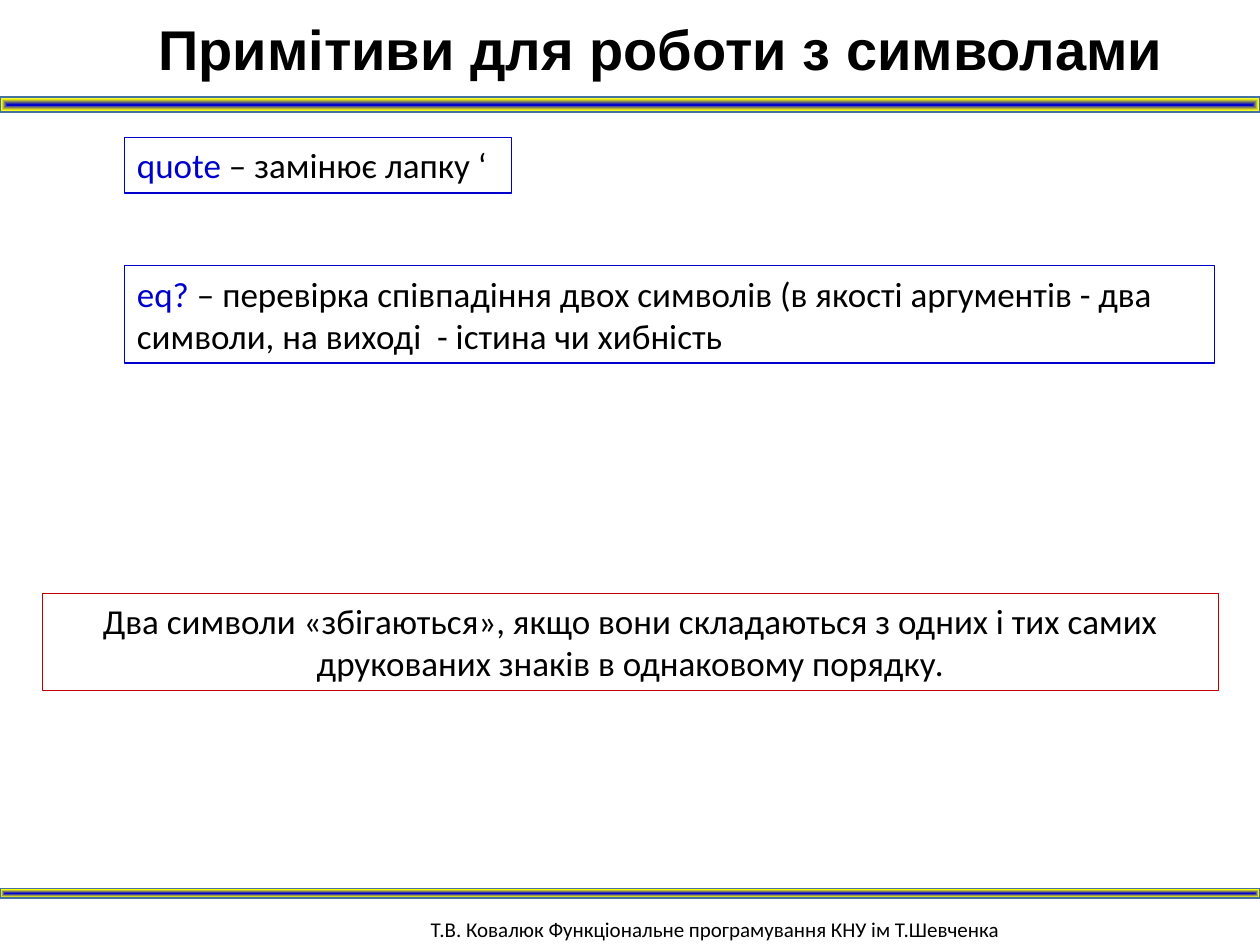
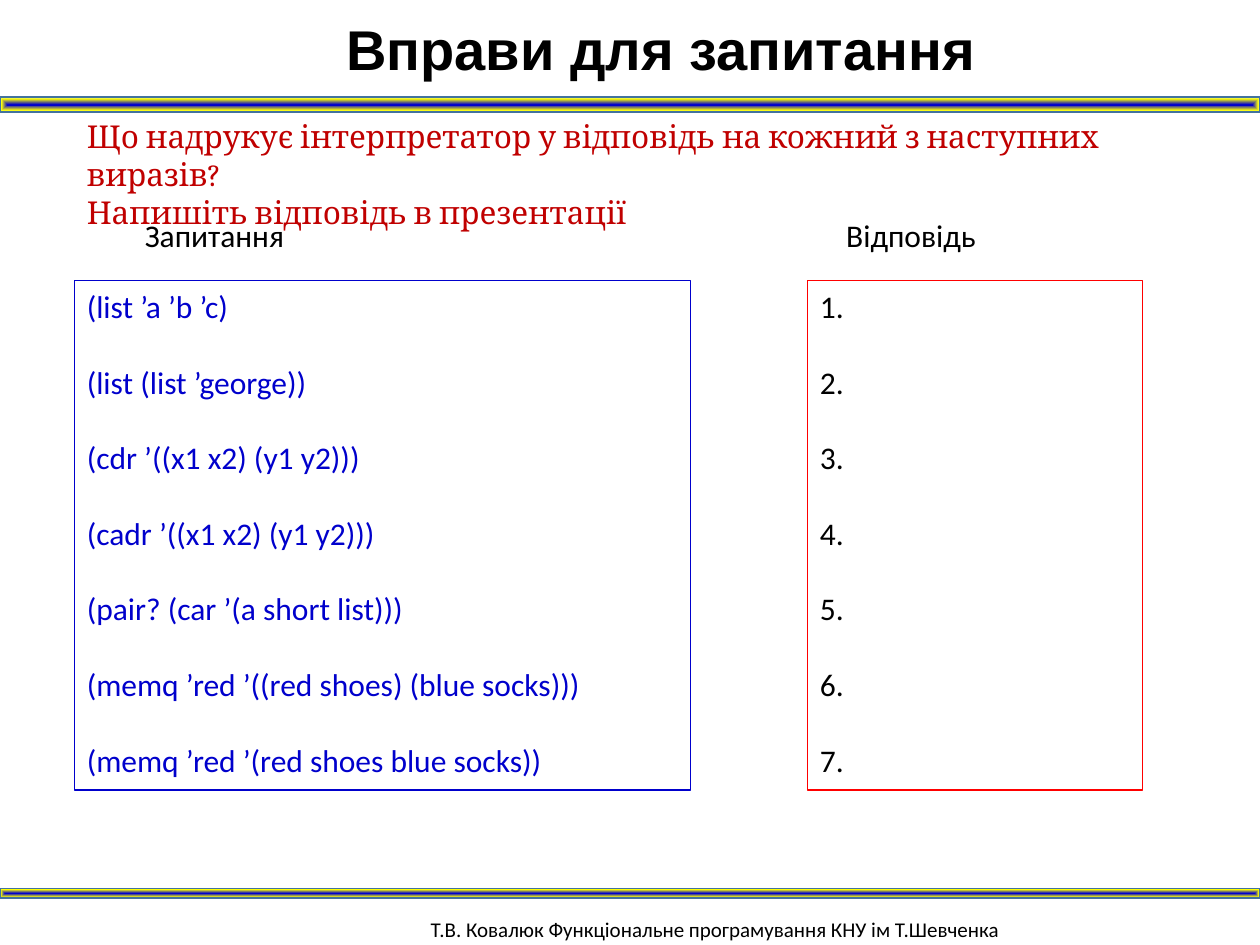
from lxml import etree
from pptx import Presentation
from pptx.dml.color import RGBColor
from pptx.enum.shapes import MSO_SHAPE
from pptx.enum.text import MSO_ANCHOR, PP_ALIGN
from pptx.oxml import parse_xml
from pptx.oxml.ns import nsdecls, qn
from pptx.util import Cm, Pt

RECTANGLE = MSO_SHAPE.RECTANGLE
TOP = MSO_ANCHOR.TOP
LEFT, CENTER = PP_ALIGN.LEFT, PP_ALIGN.CENTER

BLACK, BLUE, DARK_RED, RED = "000000", "0000CC", "C00000", "FF0000"
BAND_LINE = "43739E"
BAND_STOPS = [(0, BLUE), (77, "FFFF00"), (100, "CEE1F2")]
SLIDE_WIDTH, SLIDE_HEIGHT = 25.4, 19.05
BANDS = [(1.96, 0.3), (17.91, 0.2)]  # top, height
FOOTER = "Т.В. Ковалюк Функціональне програмування КНУ ім Т.Шевченка"

SYMBOLS_TITLE = "Примітиви для роботи з символами"
QUOTE = [("quote ", BLUE), ("– замінює лапку ‘", BLACK)]
EQ = [
    ("eq? ", BLUE),
    ("– перевірка співпадіння двох символів (в якості аргументів - два "
     "символи, на виході  - істина чи хибність", BLACK),
]
MATCH_RULE = ("Два символи «збігаються», якщо вони складаються з одних і тих самих "
              "друкованих знаків в однаковому порядку.")

EXERCISES_TITLE = "Вправи для запитання"
TASK = [
    "Що надрукує інтерпретатор у відповідь на кожний з наступних виразів?",
    "Напишіть відповідь в презентації",
]
QUESTIONS = [
    "(list ’a ’b ’c)",
    "(list (list ’george))",
    "(cdr ’((x1 x2) (y1 y2)))",
    "(cadr ’((x1 x2) (y1 y2)))",
    "(pair? (car ’(a short list)))",
    "(memq ’red ’((red shoes) (blue socks)))",
    "(memq ’red ’(red shoes blue socks))",
]
ANSWERS = [f"{number}." for number in range(1, len(QUESTIONS) + 1)]
LIST_TOP, LIST_HEIGHT, LIST_GAP = 5.66, 10.27, 21.6
HEADING_TOP, HEADING_HEIGHT = 4.24, 1.02


def rgb(color):
    return RGBColor.from_string(color)


def add_text(slide, paragraphs, left, top, width, height, size=18, font="Calibri",
             color=BLACK, bold=False, align=LEFT, gap=0, border=None, wrap=True):
    """Add text, framed if border is given; a paragraph is a string or (text, colour) runs."""
    box = [Cm(length) for length in (left, top, width, height)]
    if border:
        shape = slide.shapes.add_shape(RECTANGLE, *box)
        shape.shadow.inherit = False
        shape.fill.background()
        shape.line.color.rgb = rgb(border)
        shape.line.width = Pt(0.75)
    else:
        shape = slide.shapes.add_textbox(*box)
    frame = shape.text_frame
    frame.word_wrap = wrap
    frame.vertical_anchor = TOP
    for index, content in enumerate(paragraphs):
        paragraph = frame.add_paragraph() if index else frame.paragraphs[0]
        paragraph.alignment = align
        if index and gap:
            paragraph.space_before = Pt(gap)
        runs = [(content, color)] if isinstance(content, str) else content
        for text, run_color in runs:
            run = paragraph.add_run()
            run.text = text
            run.font.name = font
            run.font.size = Pt(size)
            run.font.bold = bold
            run.font.color.rgb = rgb(run_color)
    return shape


def add_band(slide, top, height):
    band = slide.shapes.add_shape(RECTANGLE, 0, Cm(top), Cm(SLIDE_WIDTH), Cm(height))
    band.shadow.inherit = False
    band.line.color.rgb = rgb(BAND_LINE)
    band.line.width = Pt(1)
    band.fill.background()
    gradient = parse_xml(f'<a:gradFill {nsdecls("a")} rotWithShape="1"/>')
    stops = etree.SubElement(gradient, qn("a:gsLst"))
    for percent, color in BAND_STOPS:
        stop = etree.SubElement(stops, qn("a:gs"), pos=str(percent * 1000))
        etree.SubElement(stop, qn("a:srgbClr"), val=color)
    shade = etree.SubElement(gradient, qn("a:path"), path="shape")
    etree.SubElement(shade, qn("a:fillToRect"), l="50000", t="50000", r="50000", b="50000")
    properties = band._element.spPr
    properties.replace(properties.find(qn("a:noFill")), gradient)


def add_slide(presentation, title):
    """Add a blank slide with the shared footer, bands and title."""
    slide = presentation.slides.add_slide(presentation.slide_layouts[6])
    add_text(slide, [FOOTER], 8.43, 18.36, 15.24, 0.81, size=12)
    for top, height in BANDS:
        add_band(slide, top, height)
    heading = add_text(slide, [title], 0, 0, SLIDE_WIDTH, 1.63, size=32,
                       font="Arial", bold=True, align=CENTER)
    heading.text_frame.margin_left = Cm(1.5)
    heading.text_frame.margin_top = Cm(0.3)
    return slide


def build_symbols_slide(presentation):
    slide = add_slide(presentation, SYMBOLS_TITLE)
    add_text(slide, [QUOTE], 2.51, 2.77, 7.8, 1.12, size=20, border=BLUE, wrap=False)
    add_text(slide, [EQ], 2.51, 5.36, 21.97, 1.96, size=20, border=BLUE)
    add_text(slide, [MATCH_RULE], 0.86, 11.96, 23.7, 1.96, size=20,
             align=CENTER, border=DARK_RED)


def build_exercises_slide(presentation):
    slide = add_slide(presentation, EXERCISES_TITLE)
    add_text(slide, QUESTIONS, 1.5, LIST_TOP, 12.42, LIST_HEIGHT,
             color=BLUE, gap=LIST_GAP, border=BLUE)
    add_text(slide, TASK, 1.5, 2.24, 23.06, 1.8, font="Cambria", color=DARK_RED)
    for heading, left, width in [("Запитання", 2.67, 3.35), ("Відповідь", 16.81, 3.3)]:
        add_text(slide, [heading], left, HEADING_TOP, width, HEADING_HEIGHT, wrap=False)
    add_text(slide, ANSWERS, 16.28, LIST_TOP, 6.76, LIST_HEIGHT, gap=LIST_GAP, border=RED)


def main():
    presentation = Presentation()
    presentation.slide_width = Cm(SLIDE_WIDTH)
    presentation.slide_height = Cm(SLIDE_HEIGHT)
    build_symbols_slide(presentation)
    build_exercises_slide(presentation)
    presentation.save("out.pptx")


if __name__ == "__main__":
    main()
